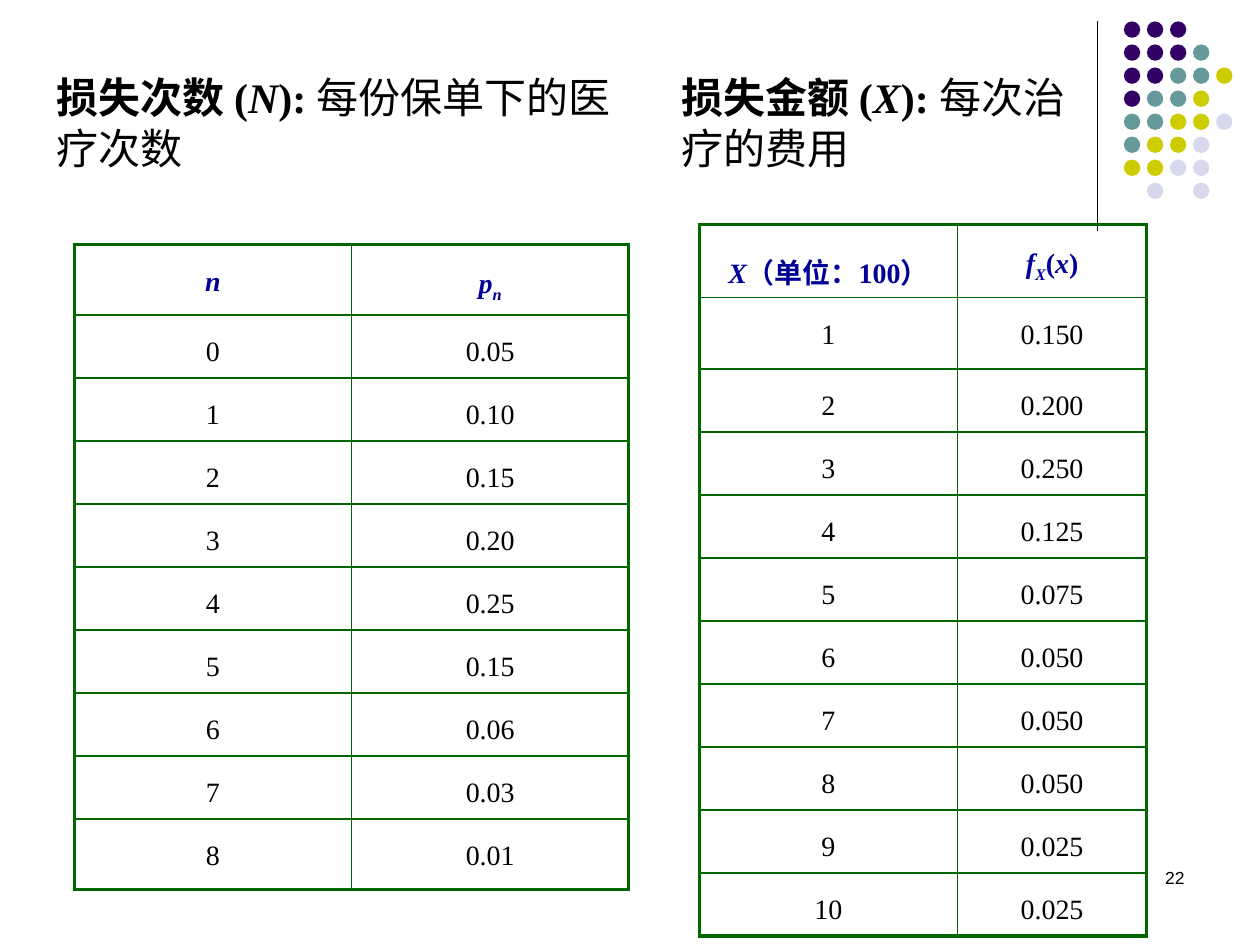
from dataclasses import dataclass

from lxml.etree import SubElement
from pptx import Presentation
from pptx.dml.color import RGBColor
from pptx.enum.shapes import MSO_CONNECTOR as Link, MSO_SHAPE as Shape
from pptx.enum.text import MSO_AUTO_SIZE as Fit, PP_ALIGN as Align
from pptx.oxml.ns import qn
from pptx.util import Inches, Pt

BLACK = RGBColor(0x00, 0x00, 0x00)
NAVY = RGBColor(0x00, 0x00, 0x99)
GREEN = RGBColor(0x00, 0x66, 0x00)
PURPLE = RGBColor(0x33, 0x00, 0x66)
TEAL = RGBColor(0x66, 0x99, 0x99)
LIME = RGBColor(0xCC, 0xCC, 0x00)
PALE = RGBColor(0xD8, 0xD8, 0xEC)
SERIF = "Times New Roman"
THICK, THIN = Pt(2.25), Pt(1)

# Dot pattern, one letter a dot
TONES = {"P": PURPLE, "T": TEAL, "L": LIME, "W": PALE}
DOTS = ["PPP", "PPPT", "PPTTL", "PTTL", "TTLLW", "TLLW", "LLWW", " W W"]
STEP = 1.28 / 7


@dataclass
class Bit:
    text: str
    bold: bool = True
    ital: bool = False
    sub: bool = False


@dataclass
class Grid:
    left: float
    top: float
    cols: list[float]
    rows: list[float]
    head: list[list[Bit]]
    body: list[tuple[str, str]]


@dataclass
class Title:
    left: float
    width: float
    bits: list[Bit]


def write(para, bits: list[Bit], size: float, color: RGBColor, face: str = SERIF) -> None:
    font = para.font
    font.name, font.size, font.color.rgb = face, Pt(size), color
    for bit in bits:
        run = para.add_run()
        run.text = bit.text
        run.font.bold, run.font.italic = bit.bold, bit.ital
        if bit.sub:
            run._r.get_or_add_rPr().set("baseline", "-25000")


def add_box(slide, left: float, top: float, width: float, height: float):
    box = slide.shapes.add_textbox(Inches(left), Inches(top), Inches(width), Inches(height))
    box.text_frame.word_wrap = True
    return box.text_frame


def add_title(slide, title: Title) -> None:
    frame = add_box(slide, title.left, 0.52, title.width, 0.91)
    frame.auto_size = Fit.SHAPE_TO_FIT_TEXT
    write(frame.paragraphs[0], title.bits, 24, BLACK)


def add_edge(cell, side: str, width: int) -> None:
    edge = SubElement(cell._tc.get_or_add_tcPr(), qn(f"a:{side}"), w=str(width))
    fill = SubElement(edge, qn("a:solidFill"))
    SubElement(fill, qn("a:srgbClr"), val=str(GREEN))


def add_grid(slide, grid: Grid) -> None:
    count, wide = len(grid.rows), len(grid.cols)
    table = slide.shapes.add_table(
        count, wide, Inches(grid.left), Inches(grid.top),
        Inches(sum(grid.cols)), Inches(sum(grid.rows))).table
    table.first_row = table.horz_banding = False
    for col, width in zip(table.columns, grid.cols):
        col.width = Inches(width)
    for row, height in zip(table.rows, grid.rows):
        row.height = Inches(height)
    lines = grid.head, *([[Bit(text, bold=False)] for text in pair] for pair in grid.body)
    for r, line in enumerate(lines):
        for c, bits in enumerate(line):
            cell = table.cell(r, c)
            para = cell.text_frame.paragraphs[0]
            para.alignment = Align.CENTER
            para.line_spacing, para.space_before = 1.5, Pt(3.2)
            write(para, bits, 16, BLACK if r else NAVY)
            # Outer edges are thick, inner ones thin
            outer = {"lnL": c == 0, "lnR": c == wide - 1,
                     "lnT": r == 0, "lnB": r == count - 1}
            for side, thick in outer.items():
                add_edge(cell, side, THICK if thick else THIN)
            cell.fill.background()


def add_dots(slide) -> None:
    for r, line in enumerate(DOTS):
        for c, tone in enumerate(line):
            if tone not in TONES:
                continue
            dot = slide.shapes.add_shape(
                Shape.OVAL, Inches(8.92 + c * STEP), Inches(0.17 + r * STEP),
                Inches(0.13), Inches(0.13))
            dot.shadow.inherit = False
            dot.fill.solid()
            dot.fill.fore_color.rgb = TONES[tone]
            dot.line.fill.background()


def add_rule(slide) -> None:
    rule = slide.shapes.add_connector(
        Link.STRAIGHT, Inches(8.71), Inches(0.17), Inches(8.71), Inches(1.83))
    rule.line.color.rgb, rule.line.width = BLACK, Pt(0.75)
    SubElement(rule._element.spPr, qn("a:effectLst"))


COUNTS = Grid(
    0.59, 1.94, [2.2, 2.2], [0.56] + [0.5] * 8 + [0.56],
    [[Bit("n", ital=True)], [Bit("p", ital=True), Bit("n", ital=True, sub=True)]],
    [("0", "0.05"), ("1", "0.10"), ("2", "0.15"), ("3", "0.20"), ("4", "0.25"),
     ("5", "0.15"), ("6", "0.06"), ("7", "0.03"), ("8", "0.01")])
COSTS = Grid(
    5.55, 1.78, [2.05, 1.5], [0.58, 0.57] + [0.47] * 9,
    [[Bit("X", ital=True), Bit("（单位：100）")],
     [Bit("f", ital=True), Bit("X", ital=True, sub=True), Bit("("),
      Bit("x", ital=True), Bit(")")]],
    [("1", "0.150"), ("2", "0.200"), ("3", "0.250"), ("4", "0.125"), ("5", "0.075"),
     ("6", "0.050"), ("7", "0.050"), ("8", "0.050"), ("9", "0.025"), ("10", "0.025")])
TITLES = [
    Title(5.31, 3.39, [Bit("损失金额 ("), Bit("X", ital=True), Bit("): "),
                       Bit("每次治疗的费用", bold=False)]),
    Title(0.35, 4.65, [Bit("损失次数 ("), Bit("N", ital=True), Bit("): "),
                       Bit("每份保单下的医疗次数", bold=False)]),
]


def main() -> None:
    deck = Presentation()
    deck.slide_width, deck.slide_height = Inches(10), Inches(7.5)
    slide = deck.slides.add_slide(deck.slide_layouts[6])

    # Corner ornament
    add_rule(slide)
    add_dots(slide)

    # Page number
    para = add_box(slide, 7.17, 6.83, 2.33, 0.5).paragraphs[0]
    para.alignment = Align.RIGHT
    write(para, [Bit("22", bold=False)], 10, BLACK, "Arial")

    # Titles with their tables
    for title, grid in zip(TITLES, [COSTS, COUNTS]):
        add_grid(slide, grid)
        add_title(slide, title)

    deck.save("out.pptx")


if __name__ == "__main__":
    main()
